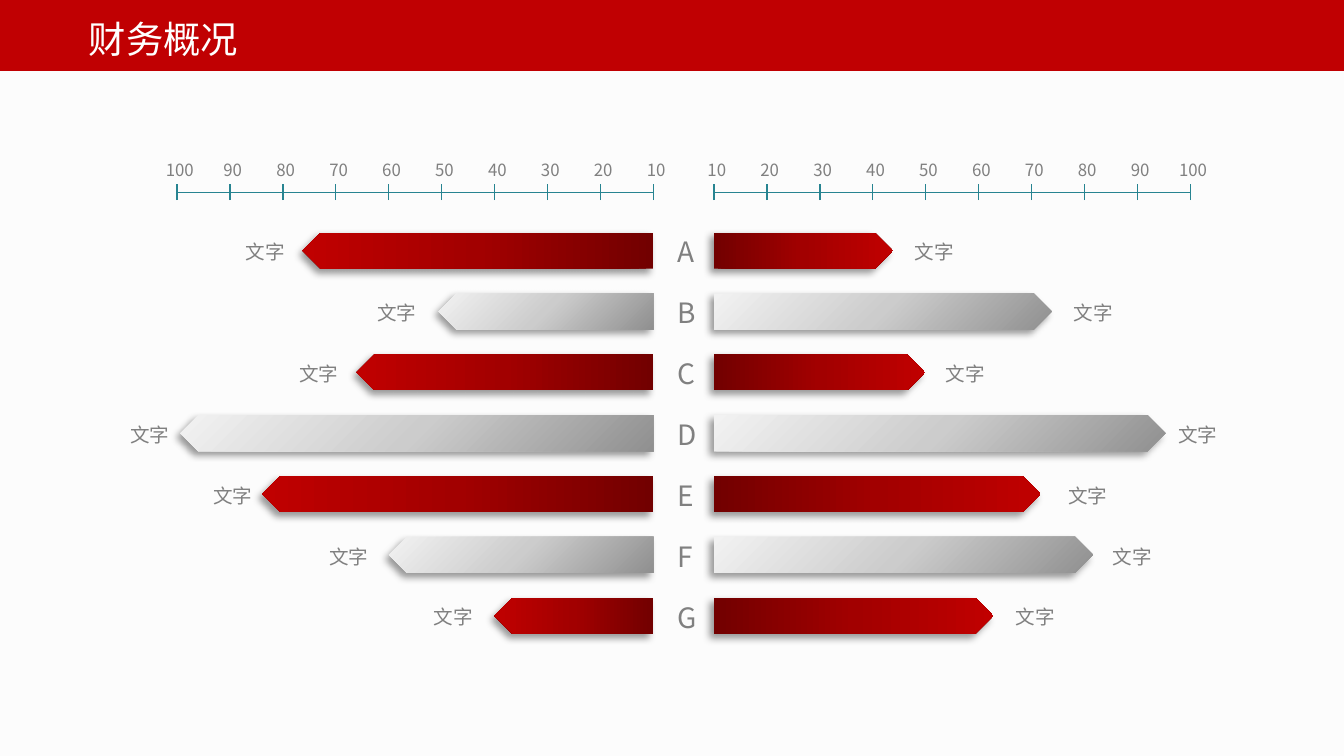
from dataclasses import dataclass

from lxml import etree
from pptx import Presentation
from pptx import util as u
from pptx.dml.color import RGBColor
from pptx.enum import shapes, text
from pptx.oxml import ns, parse_xml


@dataclass(frozen=True)
class Theme:
    font: str = "Noto Sans CJK SC"
    background: str = "FCFCFC"
    banner: str = "C00002"
    title: str = "FFFFFF"
    label: str = "808080"
    axis: str = "278491"
    red: tuple = ("720000", "A20000", "C00000")
    grey: tuple = ("909090", "CCCCCC", "F2F2F2")
    title_size: float = 20
    letter_size: float = 15
    label_size: float = 10.5
    tick_size: float = 9


RED_PATH = '<a:lin ang="0" scaled="1"/>'
GREY_PATH = ('<a:path path="circle"><a:fillToRect l="100000" t="100000"/></a:path>'
             '<a:tileRect r="-100000" b="-100000"/>')
SHADOW = ('<a:outerShdw {} blurRad="50800" dist="38100" dir="8100000" algn="tr" rotWithShape="0">'
          '<a:srgbClr val="000000"><a:alpha val="40000"/></a:srgbClr></a:outerShdw>')

UNIT = 28.35  # length of ten scale values
LEFT_ZERO, RIGHT_ZERO = 350, 382.5  # where each scale reads 10
AXIS_Y = 103
FIRST_ROW, ROW_STEP, BAR_HEIGHT = 124.6, 32.6, 19.4

# letter, letter box width, left value, left label x, right value, right label x
ROWS = [
    ("A", 25.2, 76.3, 124.5, 43.8, 483.1),
    ("B", 23.8, 50.6, 195.1, 73.8, 568.1),
    ("C", 24.5, 66.1, 153.4, 49.9, 499.7),
    ("D", 25.9, 99.4, 62.6, 95.3, 624.2),
    ("E", 23, 83.9, 107.3, 71.7, 565.2),
    ("F", 22.3, 60, 169.2, 81.6, 589),
    ("G", 25.9, 40, 225.4, 62.8, 537.1),
]


def write_text(frame, content, *, font, size, color, wrap=False):
    frame.word_wrap = wrap
    frame.auto_size = text.MSO_AUTO_SIZE.SHAPE_TO_FIT_TEXT
    frame.vertical_anchor = text.MSO_ANCHOR.TOP
    paragraph = frame.paragraphs[0]
    paragraph.alignment = text.PP_ALIGN.LEFT
    run = paragraph.add_run()
    run.text = content
    run.font.size = u.Pt(size)
    run.font.color.rgb = RGBColor.from_string(color)
    run.font.name = font
    east_asian = etree.SubElement(run.font._element, ns.qn("a:ea"))
    east_asian.set("typeface", font)


class SlideBuilder:
    """Holds the theme and the slide being drawn; all lengths are points."""

    def __init__(self, slide, theme):
        self.slide = slide
        self.theme = theme
        fill = slide.background.fill
        fill.solid()
        fill.fore_color.rgb = RGBColor.from_string(theme.background)

    def banner(self, width, height):
        shape = self.slide.shapes.add_shape(
            shapes.MSO_SHAPE.RECTANGLE, 0, 0, u.Pt(width), u.Pt(height))
        shape.shadow.inherit = False
        shape.fill.solid()
        shape.fill.fore_color.rgb = RGBColor.from_string(self.theme.banner)
        shape.line.fill.background()

    def title(self, content, left, top, width, height):
        """Fill the title placeholder and bring it in front of the banner."""
        title = self.slide.shapes.title
        title.left, title.top = u.Pt(left), u.Pt(top)
        title.width, title.height = u.Pt(width), u.Pt(height)
        write_text(title.text_frame, content, font=self.theme.font,
                   size=self.theme.title_size, color=self.theme.title, wrap=True)
        self.slide.shapes._spTree.append(title._element)

    def label(self, content, left, top, width, height, size):
        box = self.slide.shapes.add_textbox(
            u.Pt(left), u.Pt(top), u.Pt(width), u.Pt(height))
        write_text(box.text_frame, content, font=self.theme.font,
                   size=size, color=self.theme.label)

    def line(self, group, x1, y1, x2, y2):
        connector = group.shapes.add_connector(
            shapes.MSO_CONNECTOR.STRAIGHT, u.Pt(x1), u.Pt(y1), u.Pt(x2), u.Pt(y2))
        connector.line.color.rgb = RGBColor.from_string(self.theme.axis)
        connector.line.width = u.Pt(0.75)
        etree.SubElement(connector._element.spPr, ns.qn("a:effectLst"))

    def scale(self, zero, direction):
        """Draw a 10 to 100 axis running left (-1) or right (1) from zero."""
        ticks = [zero + direction * UNIT * step for step in range(10)]
        group = self.slide.shapes.add_group_shape()
        self.line(group, min(ticks), AXIS_Y, max(ticks), AXIS_Y)
        for tick in sorted(ticks):
            self.line(group, tick, AXIS_Y + 4.2, tick, AXIS_Y - 4.2)
        for value, tick in zip(range(10, 101, 10), ticks):
            width = 30.2 if value == 100 else 25.2
            self.label(str(value), tick + 2 - width / 2, 82.1, width, 18,
                       self.theme.tick_size)

    def bar(self, zero, direction, top, value, colors, path):
        length = (value - 10) / 10 * UNIT
        left = zero if direction > 0 else zero - length
        shape = self.slide.shapes.add_shape(
            shapes.MSO_SHAPE.PENTAGON, u.Pt(left), u.Pt(top), u.Pt(length), u.Pt(BAR_HEIGHT))
        shape.line.fill.background()
        shape.shadow.inherit = False
        properties = shape._element.spPr
        if direction < 0:
            properties.find(ns.qn("a:xfrm")).set("flipH", "1")
        stops = "".join(
            f'<a:gs pos="{position}"><a:srgbClr val="{color}"/></a:gs>'
            for position, color in zip((0, 50000, 100000), colors))
        gradient = parse_xml(
            f'<a:gradFill {ns.nsdecls("a")} rotWithShape="1">'
            f'<a:gsLst>{stops}</a:gsLst>{path}</a:gradFill>')
        properties.find(ns.qn("a:prstGeom")).addnext(gradient)
        effects = properties.find(ns.qn("a:effectLst"))
        effects.append(parse_xml(SHADOW.format(ns.nsdecls("a"))))


def main():
    presentation = Presentation()
    presentation.slide_width, presentation.slide_height = u.Pt(720), u.Pt(405)
    theme = Theme()
    slide = presentation.slides.add_slide(presentation.slide_layouts[5])
    builder = SlideBuilder(slide, theme)

    builder.banner(720, 38)
    builder.title("财务概况", 40.3, 5, 280, 31.7)
    builder.scale(LEFT_ZERO, -1)
    builder.scale(RIGHT_ZERO, 1)

    for index, (letter, width, left_value, left_x, right_value, right_x) in enumerate(ROWS):
        top = FIRST_ROW + ROW_STEP * index
        colors, path = (theme.grey, GREY_PATH) if index % 2 else (theme.red, RED_PATH)
        sides = [(LEFT_ZERO, -1, left_value, left_x), (RIGHT_ZERO, 1, right_value, right_x)]
        for zero, direction, value, label_x in sides:
            builder.bar(zero, direction, top, value, colors, path)
            builder.label("文字", label_x, top + 0.6, 36, 20.2, theme.label_size)
        builder.label(letter, 355.7, top - 2.3, width, 25.2, theme.letter_size)

    presentation.save("out.pptx")


if __name__ == "__main__":
    main()
